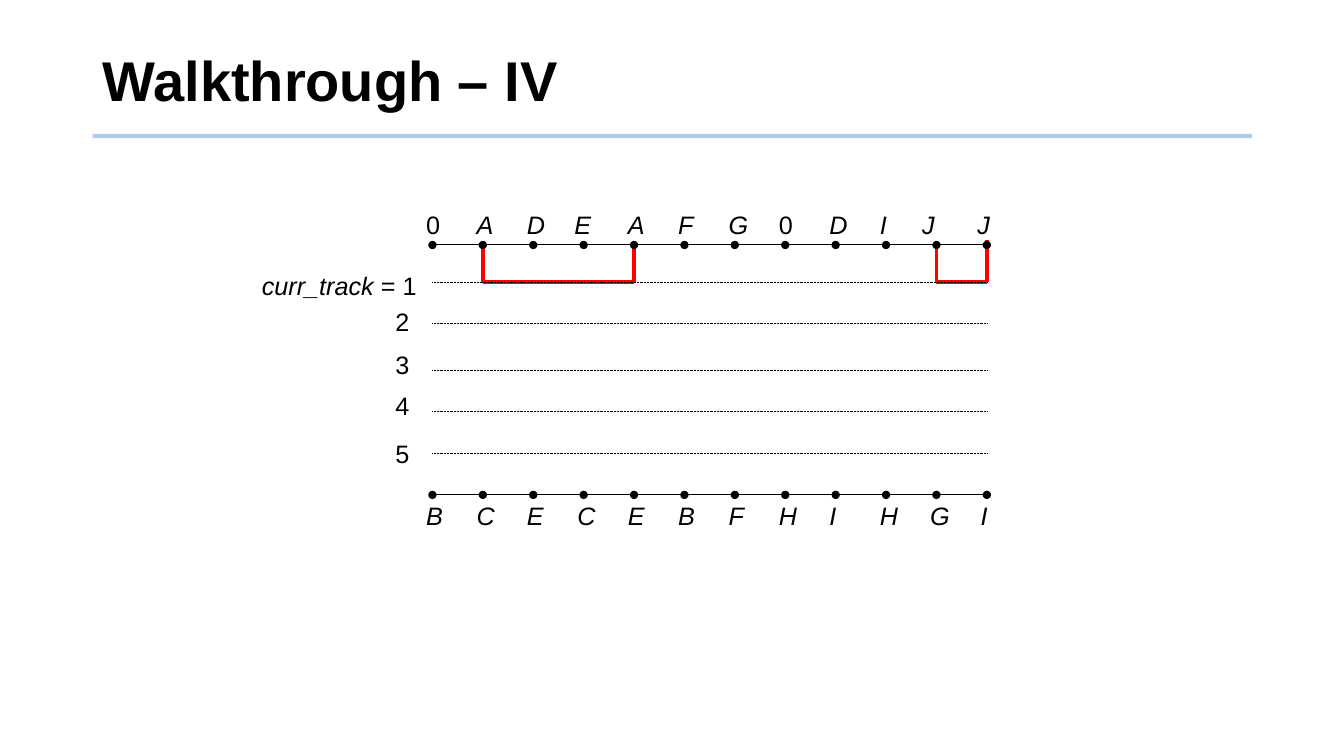
from pptx import Presentation
from pptx.dml.color import RGBColor
from pptx.enum.dml import MSO_LINE
from pptx.enum.shapes import MSO_CONNECTOR
from pptx.enum.text import MSO_ANCHOR, MSO_AUTO_SIZE, PP_ALIGN
from pptx.oxml.ns import qn
from pptx.util import Pt
from lxml.etree import SubElement

BLACK = RGBColor(0x00, 0x00, 0x00)
RED = RGBColor(0xFF, 0x00, 0x00)
BLUE = RGBColor(0x5B, 0x9B, 0xD5)

FONT = "Arial"
LEFT = 308.9
STEP = 36
TOP_RAIL = 175
BOTTOM_RAIL = 353.5
LABEL_HEIGHT = 29.5
TOP_PINS = "0ADEAFG0DIJJ"
BOTTOM_PINS = "BCECEBFHIHGI"
TOP_NUDGES = {3: -2.2, 10: -5.8, 11: -2.2}
TOP_WIDTHS = {10: 44.6, 11: 44.6}
TRACK_HEIGHTS = [201.6, 231.1, 264.2, 293.8, 324]
TRACK_LABEL_TOPS = [189.4, 215.3, 245.5, 275, 309.6]
RED_NETS = [(1, 4, 173.5, 173.5), (10, 11, 173.5, 171.4)]


def pin_x(index):
    return LEFT + STEP * index


def add_line(page, start, end, color, width):
    line = page.shapes.add_connector(
        MSO_CONNECTOR.STRAIGHT, *(Pt(value) for value in start + end))
    line.line.color.rgb = color
    line.line.width = Pt(width)
    SubElement(line._element.spPr, qn("a:effectLst"))
    return line


def add_span(para, text, size, bold=False, italic=False):
    span = para.add_run()
    span.text = text
    span.font.name = FONT
    span.font.size = Pt(size)
    span.font.bold = bold
    span.font.italic = italic
    span.font.color.rgb = BLACK


def add_label(page, left, top, width, spans, align=PP_ALIGN.LEFT):
    box = page.shapes.add_textbox(Pt(left), Pt(top), Pt(width), Pt(LABEL_HEIGHT))
    frame = box.text_frame
    frame.word_wrap = True
    frame.auto_size = MSO_AUTO_SIZE.SHAPE_TO_FIT_TEXT
    frame.margin_left = frame.margin_right = Pt(7.7)
    frame.margin_top = frame.margin_bottom = Pt(3.8)
    para = frame.paragraphs[0]
    para.alignment = align
    for text, italic in spans:
        add_span(para, text, 18, italic=italic)


def add_title(page, text):
    title = page.shapes.title
    title.left, title.top = Pt(66.2), Pt(20.2)
    title.width, title.height = Pt(828), Pt(79.2)
    title.text_frame.vertical_anchor = MSO_ANCHOR.MIDDLE
    para = title.text_frame.paragraphs[0]
    para.alignment = PP_ALIGN.LEFT
    para.line_spacing = 0.9
    add_span(para, text, 40, bold=True)


def add_title_rule(page):
    rule = add_line(page, (66.2, 97.2), (894.2, 97.2), BLUE, 3)
    color = rule.line._ln.find(".//" + qn("a:srgbClr"))
    SubElement(color, qn("a:alpha"), val="50000")


def add_rail(page, height, pin_count):
    for index in range(pin_count - 1):
        segment = add_line(page, (pin_x(index), height),
                           (pin_x(index + 1), height), BLACK, 0.75)
        ends = ["a:headEnd", "a:tailEnd"] if index == 0 else ["a:tailEnd"]
        for end in ends:
            SubElement(segment.line._ln, qn(end), type="oval")


def add_pin_labels(page, pins, top, nudges, widths):
    for index, name in enumerate(pins):
        left = pin_x(index) - 12.2 + nudges.get(index, 0)
        add_label(page, left, top, widths.get(index, 30.2),
                  [(name, name.isalpha())])


def add_net(page, first, last, first_top, last_top):
    track = TRACK_HEIGHTS[0]
    start, end = pin_x(first), pin_x(last)
    add_line(page, (start, first_top), (start, track), RED, 2.5)
    add_line(page, (start, track), (end, track), RED, 2.5)
    add_line(page, (end, last_top), (end, track), RED, 2.5)


def add_tracks(page):
    for height in TRACK_HEIGHTS:
        track = add_line(page, (LEFT, height), (pin_x(11), height), BLACK, 0.5)
        track.line.dash_style = MSO_LINE.ROUND_DOT
    for number, top in enumerate(TRACK_LABEL_TOPS, 1):
        if number == 1:
            add_label(page, 165.3, top, 140,
                      [("curr_track", True), (" = 1", False)], PP_ALIGN.RIGHT)
        else:
            add_label(page, 249.8, top, 50.4, [(str(number), False)],
                      PP_ALIGN.RIGHT)


def main():
    deck = Presentation()
    deck.slide_width, deck.slide_height = Pt(960), Pt(540)
    page = deck.slides.add_slide(deck.slide_layouts[5])
    add_title_rule(page)
    add_title(page, "Walkthrough – IV")
    add_rail(page, BOTTOM_RAIL, len(BOTTOM_PINS))
    add_pin_labels(page, BOTTOM_PINS, BOTTOM_RAIL, {}, {})
    for net in RED_NETS:
        add_net(page, *net)
    add_tracks(page)
    add_rail(page, TOP_RAIL, len(TOP_PINS))
    add_pin_labels(page, TOP_PINS, TOP_RAIL - LABEL_HEIGHT, TOP_NUDGES, TOP_WIDTHS)
    deck.save("out.pptx")


if __name__ == "__main__":
    main()
